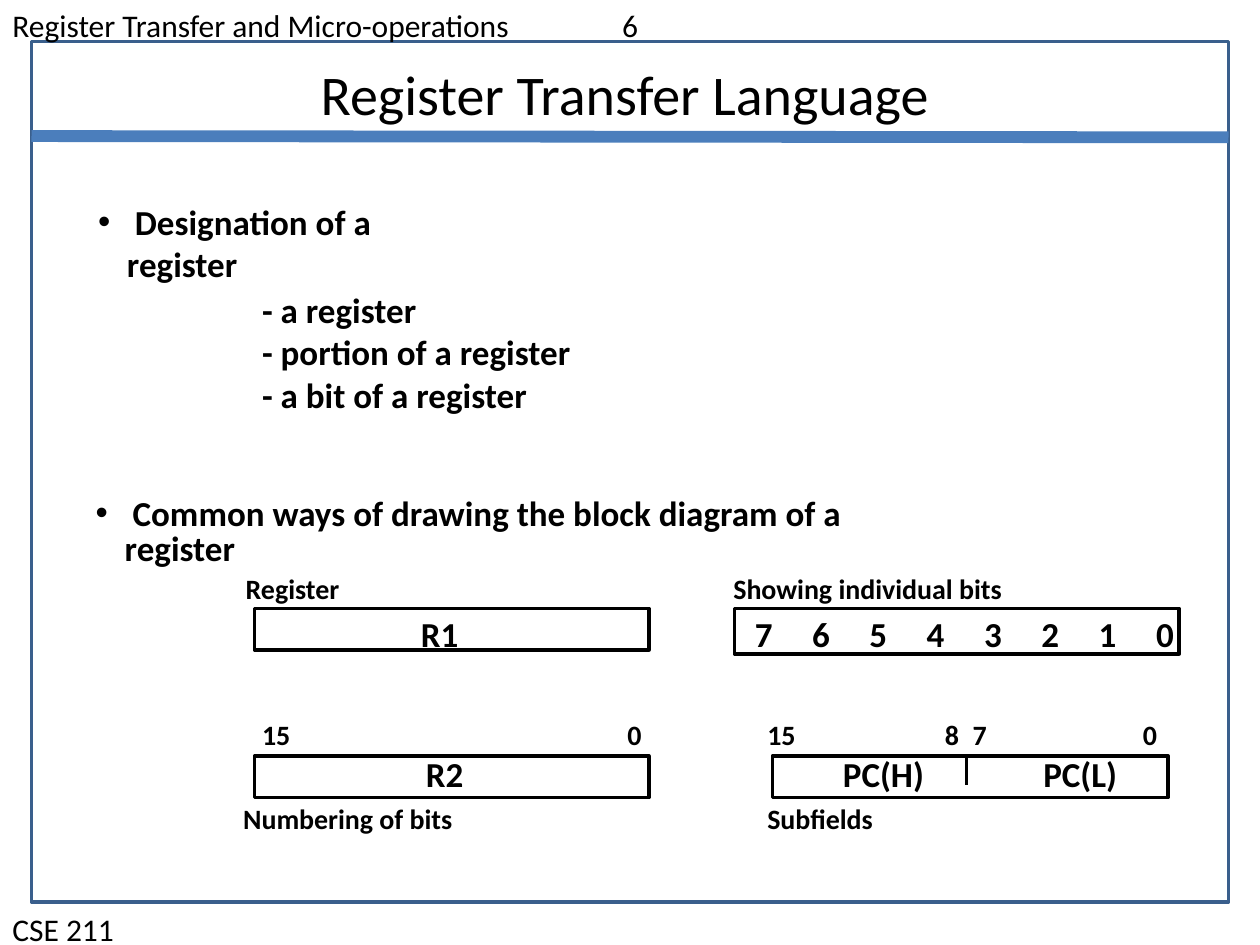
"""Build the slide on register transfer language and register block diagrams."""
from dataclasses import dataclass

import lxml.etree
import pptx
import pptx.dml.color
import pptx.enum.shapes
import pptx.enum.text
import pptx.oxml.ns
import pptx.util

Inches = pptx.util.Inches
COLORS = {"text": "000000", "frame": "3A5F8C", "rule": "4B7EBC"}
FONT = "Calibri"


@dataclass
class Box:
    """An outlined rectangle."""
    left: float
    top: float
    width: float
    height: float
    color: str = "text"


@dataclass
class Label:
    """A text box with one paragraph per line."""
    text: str
    left: float
    top: float
    width: float
    height: float = 0.32
    size: int = 16
    bold: bool = True
    line_spacing: float = 0.97
    inset_x: float = 0.07
    inset_y: float = 0.03
    margin: float = 0
    bullet: bool = False
    tabs: tuple = ()


BOXES = [
    Box(2.02, 4.83, 3.13, 0.33),
    Box(2.02, 6, 3.13, 0.33),
    Box(5.83, 4.83, 3.53, 0.36),
    Box(6.13, 6, 3.14, 0.33),
]

BIT_PITCH = 0.455
BIT_TABS = tuple(BIT_PITCH * step for step in range(1, 8))

PAGE_LABELS = [
    Label("Register Transfer and Micro-operations\t6", 0, 0, 10, 0.4, 18, False, 1,
          0.1, 0.05, tabs=(4.84,)),
    Label("CSE 211", 0, 7.17, 10, 0.4, 18, False, 1, 0.1, 0.05),
]

BODY_LABELS = [
    Label(" Designation of a register", 0.68, 1.54, 3.1, 0.76, 20, True, 1, 0.1, 0.05,
          margin=0.23, bullet=True),
    Label("- a register\n- portion of a register\n- a bit of a register",
          1.89, 2.25, 2.84, 1.42, 20, line_spacing=1.02, margin=0.12),
    Label(" Common ways of drawing the block diagram of a register",
          0.69, 3.92, 6.8, 0.63, 20, line_spacing=0.85, margin=0.23, bullet=True),
]

CAPTIONS = [
    Label("Register", 1.88, 4.52, 1.05),
    Label("Numbering of bits", 1.86, 6.35, 1.95),
    Label("Showing individual bits", 5.75, 4.52, 2.45),
    Label("Subfields", 6.02, 6.35, 1.1),
]

REGISTER_NAMES = [
    Label(text, left, top, width, 0.39, 20, line_spacing=1, tabs=tabs)
    for text, left, top, width, tabs in [
        ("R1", 3.27, 4.83, 0.54, ()),
        ("R2", 3.31, 5.94, 0.54, ()),
        ("PC(H)", 6.62, 5.94, 0.9, ()),
        ("PC(L)", 8.21, 5.94, 0.85, ()),
        ("\t".join("76543210"), 5.92, 4.83, 3.55, BIT_TABS),
    ]
]

BIT_NUMBERS = [
    Label(text, left, 5.68, 0.42 if len(text) > 1 else 0.27)
    for text, left in [("15", 2.01), ("0", 4.91), ("15", 6.02), ("8", 7.43),
                       ("7", 7.65), ("0", 9)]
]


def rgb(name: str) -> pptx.dml.color.RGBColor:
    """Return a named colour."""
    return pptx.dml.color.RGBColor.from_string(COLORS[name])


def add_box(slide, box: Box) -> None:
    """Draw an unfilled rectangle."""
    shape = slide.shapes.add_shape(
        pptx.enum.shapes.MSO_SHAPE.RECTANGLE, Inches(box.left), Inches(box.top),
        Inches(box.width), Inches(box.height))
    shape.shadow.inherit = False
    shape.fill.background()
    shape.line.color.rgb = rgb(box.color)
    shape.line.width = pptx.util.Pt(2)


def add_line(slide, start: tuple, end: tuple, color: str, width: float) -> None:
    """Draw a straight line without a shadow."""
    connector = slide.shapes.add_connector(
        pptx.enum.shapes.MSO_CONNECTOR.STRAIGHT, Inches(start[0]), Inches(start[1]),
        Inches(end[0]), Inches(end[1]))
    connector.line.color.rgb = rgb(color)
    connector.line.width = pptx.util.Pt(width)
    lxml.etree.SubElement(connector._element.spPr, pptx.oxml.ns.qn("a:effectLst"))


def format_paragraph(paragraph, label: Label) -> None:
    """Apply indent, bullet, tabs and font to a paragraph."""
    properties = paragraph._p.get_or_add_pPr()
    if label.margin:
        properties.set("marL", str(Inches(label.margin)))
    if label.bullet:
        properties.set("indent", str(-Inches(label.margin)))
        bullet_font = lxml.etree.SubElement(properties, pptx.oxml.ns.qn("a:buFont"))
        bullet_font.set("typeface", "Arial")
        bullet = lxml.etree.SubElement(properties, pptx.oxml.ns.qn("a:buChar"))
        bullet.set("char", "•")
    if label.tabs:
        tab_list = lxml.etree.SubElement(properties, pptx.oxml.ns.qn("a:tabLst"))
        for position in label.tabs:
            tab = lxml.etree.SubElement(tab_list, pptx.oxml.ns.qn("a:tab"))
            tab.set("pos", str(Inches(position)))
            tab.set("algn", "l")
    paragraph.line_spacing = label.line_spacing
    for run in paragraph.runs:
        run.font.name = FONT
        run.font.size = pptx.util.Pt(label.size)
        run.font.bold = label.bold
        run.font.color.rgb = rgb("text")


def add_label(slide, label: Label) -> None:
    """Draw a text box."""
    shape = slide.shapes.add_textbox(
        Inches(label.left), Inches(label.top), Inches(label.width), Inches(label.height))
    text_frame = shape.text_frame
    text_frame.word_wrap = True
    text_frame.margin_left = text_frame.margin_right = Inches(label.inset_x)
    text_frame.margin_top = text_frame.margin_bottom = Inches(label.inset_y)
    text_frame.text = label.text
    for paragraph in text_frame.paragraphs:
        format_paragraph(paragraph, label)


def set_title(slide, text: str) -> None:
    """Place and format the title."""
    title = slide.shapes.title
    title.left, title.top = Inches(0.75), Inches(0.42)
    title.width, title.height = Inches(8.42), Inches(0.64)
    title.text_frame.text = text
    paragraph = title.text_frame.paragraphs[0]
    paragraph.alignment = pptx.enum.text.PP_ALIGN.CENTER
    font = paragraph.runs[0].font
    font.name = FONT
    font.size = pptx.util.Pt(32)
    font.color.rgb = rgb("text")


def main() -> None:
    """Build and save the presentation."""
    presentation = pptx.Presentation()
    presentation.slide_width, presentation.slide_height = Inches(10), Inches(7.5)
    slide = presentation.slides.add_slide(presentation.slide_layouts[5])
    set_title(slide, "Register Transfer Language")
    add_box(slide, Box(0.25, 0.33, 9.5, 6.83, "frame"))
    add_line(slide, (0.25, 1.08), (9.75, 1.09), "rule", 6.75)
    for box in BOXES:
        add_box(slide, box)
    add_line(slide, (7.67, 6), (7.67, 6.23), "text", 2)
    for label in PAGE_LABELS + BODY_LABELS + CAPTIONS + REGISTER_NAMES + BIT_NUMBERS:
        add_label(slide, label)
    presentation.save("out.pptx")


if __name__ == "__main__":
    main()
